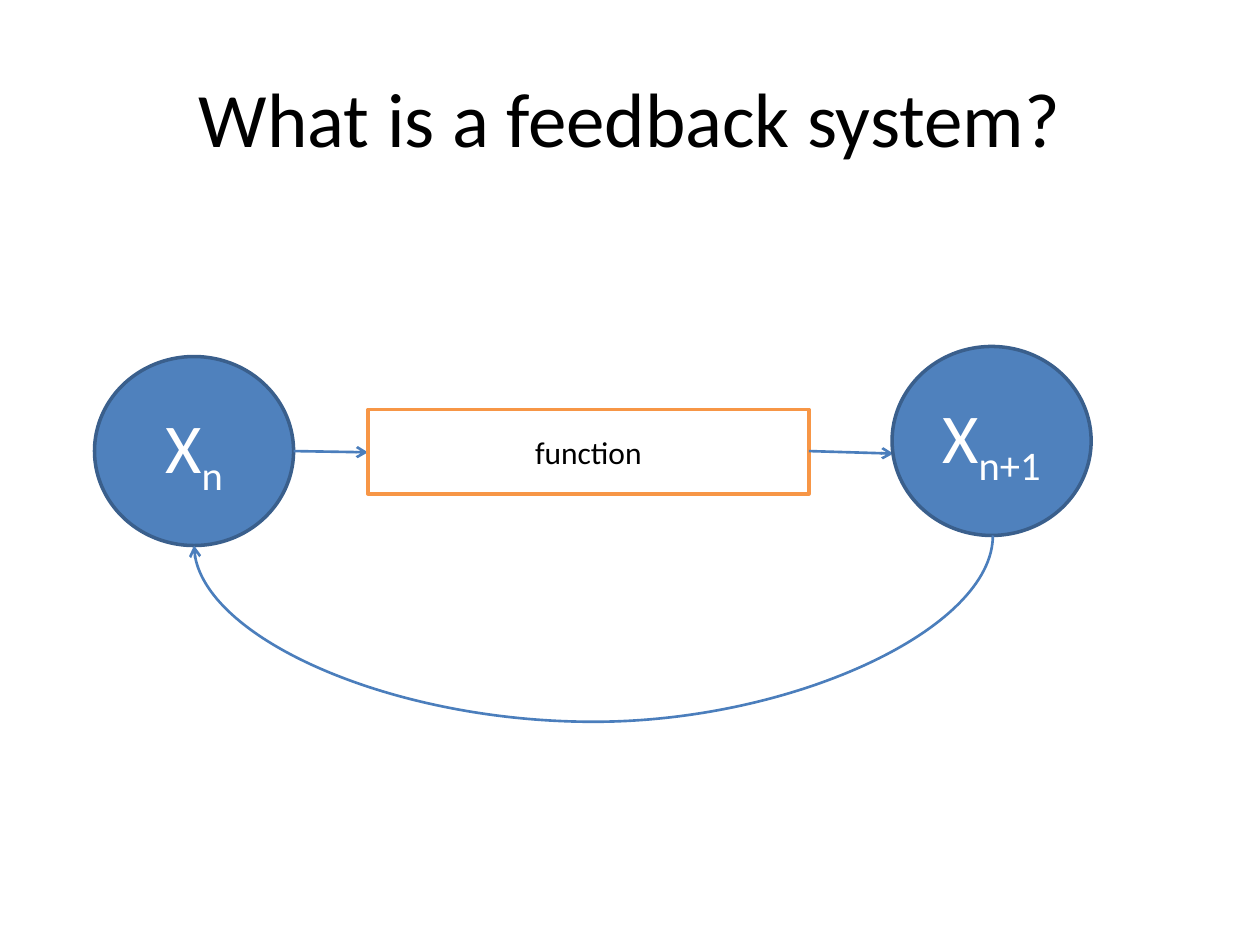
from lxml.etree import SubElement
from pptx import Presentation
from pptx.dml.color import RGBColor
from pptx.enum.shapes import MSO_CONNECTOR, MSO_SHAPE
from pptx.enum.text import MSO_ANCHOR, PP_ALIGN
from pptx.oxml.ns import qn
from pptx.util import Inches, Pt

COLORS = {
    "black": "000000",
    "white": "FFFFFF",
    "blue": "4F81BD",
    "navy": "3A5F8C",
    "arrow": "4B7EBC",
    "orange": "F79646",
}


def rgb(name):
    return RGBColor.from_string(COLORS[name])


class Diagram:
    """Draws the elements of a feedback diagram on one slide."""

    font = "Calibri"
    outline = 2
    arrow_width = 1.5

    def __init__(self, prs):
        self.s = prs.slides.add_slide(prs.slide_layouts[5])

    def label(self, sp, text, size, color, sub=""):
        tf = sp.text_frame
        tf.word_wrap = True
        tf.vertical_anchor = MSO_ANCHOR.MIDDLE
        p = tf.paragraphs[0]
        p.alignment = PP_ALIGN.CENTER
        for part in filter(None, (text, sub)):
            r = p.add_run()
            r.text = part
            for key, value in {"name": self.font, "size": Pt(size)}.items():
                setattr(r.font, key, value)
            r.font.color.rgb = rgb(color)
        if sub:
            r._r.get_or_add_rPr().set("baseline", "-25000")

    def title(self, text, box):
        sp = self.s.shapes.title
        for key, value in zip(("left", "top", "width", "height"), box):
            setattr(sp, key, Inches(value))
        self.label(sp, text, 44, "black")

    def shape(self, kind, box, fill, line):
        sp = self.s.shapes.add_shape(kind, *map(Inches, box))
        sp.shadow.inherit = False
        sp.fill.solid()
        sp.fill.fore_color.rgb = rgb(fill)
        sp.line.color.rgb = rgb(line)
        sp.line.width = Pt(self.outline)
        return sp

    def state(self, left, top, sub):
        sp = self.shape(MSO_SHAPE.OVAL, (left, top, 1.58, 1.5), "blue", "navy")
        self.label(sp, "X", 40, "white", sub)

    def process(self, text, box):
        sp = self.shape(MSO_SHAPE.RECTANGLE, box, "white", "orange")
        self.label(sp, text, 18, "black")

    def arrow(self, start, end, kind=MSO_CONNECTOR.STRAIGHT):
        cn = self.s.shapes.add_connector(kind, *map(Inches, start + end))
        cn.line.color.rgb = rgb("arrow")
        cn.line.width = Pt(self.arrow_width)
        spPr = cn._element.spPr
        SubElement(spPr.find(qn("a:ln")), qn("a:tailEnd"), type="arrow")
        SubElement(spPr, qn("a:effectLst"))
        return cn

    def loop(self, start, end, depth):
        span, rise = start[0] - end[0], end[1] - start[1]
        mid_x, mid_y = (start[0] + end[0]) / 2, (start[1] + end[1]) / 2
        left, top = mid_x - rise / 2, mid_y - span / 2
        cn = self.arrow((left, top), (left + rise, top + span), MSO_CONNECTOR.CURVE)
        spPr = cn._element.spPr
        spPr.find(qn("a:xfrm")).set("rot", str(90 * 60000))
        geom = spPr.find(qn("a:prstGeom"))
        av = geom.find(qn("a:avLst"))
        if av is None:
            av = SubElement(geom, qn("a:avLst"))
        bend = round(depth / rise * 100000)
        SubElement(av, qn("a:gd"), name="adj1", fmla=f"val {bend}")


def main():
    prs = Presentation()
    prs.slide_width, prs.slide_height = Inches(10), Inches(7.5)
    d = Diagram(prs)
    d.title("What is a feedback system?", (0.5, 0.3, 9, 1.25))
    d.state(0.75, 2.83, "n")
    d.arrow((2.33, 3.58), (2.92, 3.59))
    d.process("function", (2.92, 3.25, 3.5, 0.67))
    d.arrow((6.42, 3.58), (7.09, 3.6))
    d.state(7.08, 2.75, "n+1")
    d.loop((7.88, 4.25), (1.54, 4.33), 1.48)
    prs.save("out.pptx")


if __name__ == "__main__":
    main()
